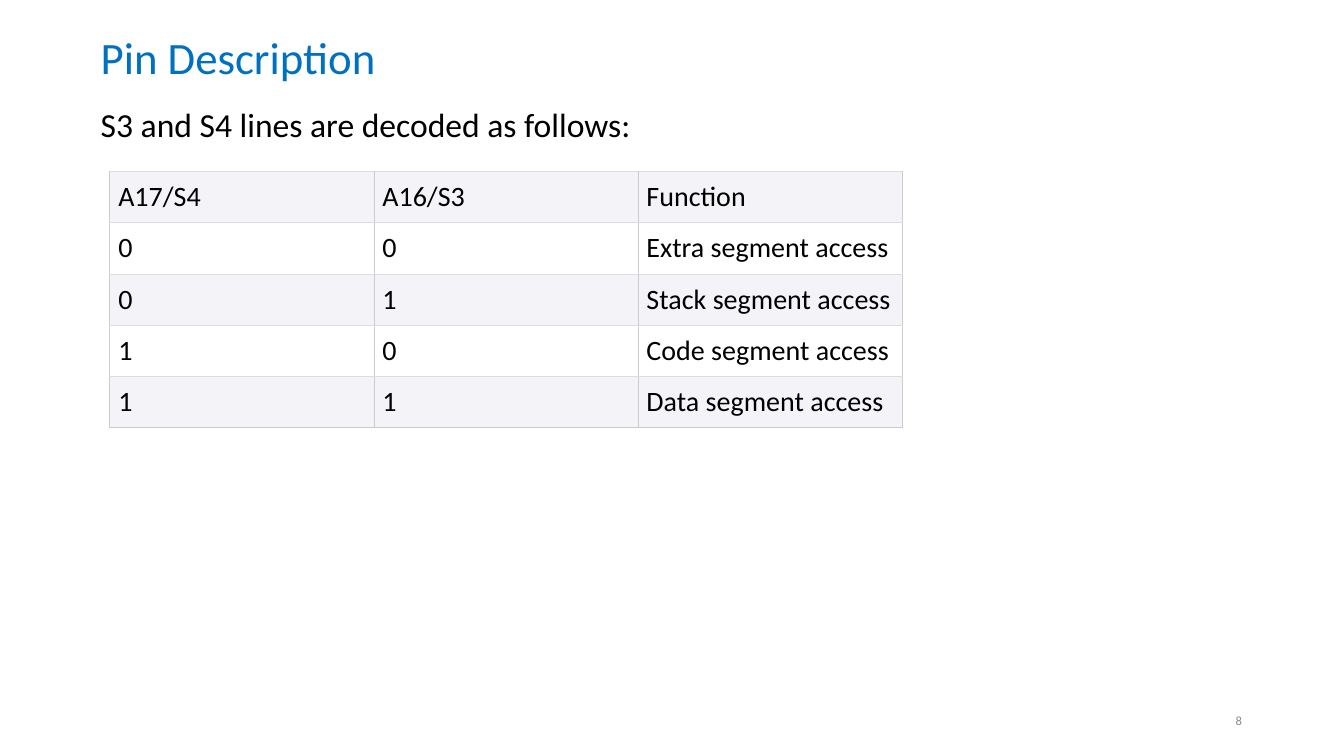
from dataclasses import dataclass
from typing import NamedTuple

from lxml.etree import SubElement
from pptx import Presentation
from pptx.dml.color import RGBColor
from pptx.enum.text import MSO_ANCHOR, PP_ALIGN
from pptx.oxml.ns import qn
from pptx.util import Pt


@dataclass(frozen=True)
class Theme:
    font: str = "Calibri"
    title: str = "0070C0"
    text: str = "000000"
    muted: str = "8C8C8C"
    band: str = "F4F4F8"
    plain: str = "FFFFFF"
    side_border: str = "CCCCCC"
    row_border: str = "DDDDDD"
    title_size: float = 32
    body_size: float = 24
    cell_size: float = 20
    number_size: float = 9
    border_width: float = 0.75
    cell_inset: float = 6


class Box(NamedTuple):
    left: float
    top: float
    width: float
    height: float

    def lengths(self):
        return [Pt(value) for value in self]


THEME = Theme()
PAGE_WIDTH, PAGE_HEIGHT = 960, 540
TITLE_BOX = Box(64.8, 11.5, 594, 62.6)
BODY_BOX = Box(64.8, 74.2, 829.4, 440.6)
TABLE_BOX = Box(78.5, 122.6, 566, 183)
NUMBER_BOX = Box(678.2, 500.4, 216, 28.8)
DECODING = [
    ("A17/S4", "A16/S3", "Function"),
    ("0", "0", "Extra segment access"),
    ("0", "1", "Stack segment access"),
    ("1", "0", "Code segment access"),
    ("1", "1", "Data segment access"),
]


def write(frame, text, *, size, color=THEME.text, align=PP_ALIGN.LEFT, spacing=1.0):
    para = frame.paragraphs[0]
    para.alignment = align
    para.line_spacing = spacing
    span = para.add_run()
    span.text = text
    span.font.name = THEME.font
    span.font.size = Pt(size)
    span.font.color.rgb = RGBColor.from_string(color)


def add_text(page, box, text, *, anchor=MSO_ANCHOR.TOP, **text_format):
    frame = page.shapes.add_textbox(*box.lengths()).text_frame
    frame.word_wrap = True
    frame.vertical_anchor = anchor
    write(frame, text, **text_format)


def set_borders(cell, colors):
    properties = cell._tc.get_or_add_tcPr()
    for position, (side, color) in enumerate(colors.items()):
        line = properties.makeelement(qn(f"a:{side}"), {"w": str(Pt(THEME.border_width))})
        fill = SubElement(line, qn("a:solidFill"))
        SubElement(fill, qn("a:srgbClr"), val=color)
        properties.insert(position, line)


def add_decoding_table(page, box, rows):
    table = page.shapes.add_table(len(rows), len(rows[0]), *box.lengths()).table
    for column in table.columns:
        column.width = Pt(box.width / len(rows[0]))
    for row_index, row in enumerate(rows):
        table.rows[row_index].height = Pt(box.height / len(rows))
        is_last = row_index == len(rows) - 1
        borders = {
            "lnL": THEME.side_border,
            "lnR": THEME.side_border,
            "lnT": THEME.row_border,
            "lnB": THEME.side_border if is_last else THEME.row_border,
        }
        background = THEME.plain if row_index % 2 else THEME.band
        for column_index, text in enumerate(row):
            cell = table.cell(row_index, column_index)
            cell.margin_left = cell.margin_right = Pt(THEME.cell_inset)
            cell.margin_top = cell.margin_bottom = Pt(THEME.cell_inset)
            cell.fill.solid()
            cell.fill.fore_color.rgb = RGBColor.from_string(background)
            set_borders(cell, borders)
            write(cell.text_frame, text, size=THEME.cell_size)


def add_title(page, box, text):
    add_text(page, box, text, anchor=MSO_ANCHOR.MIDDLE, size=THEME.title_size,
             color=THEME.title, spacing=0.9)


def add_body(page, box, text):
    add_text(page, box, text, size=THEME.body_size, spacing=0.9)


def add_page_number(page, box, text):
    add_text(page, box, text, anchor=MSO_ANCHOR.MIDDLE, size=THEME.number_size,
             color=THEME.muted, align=PP_ALIGN.RIGHT)


def main():
    deck = Presentation()
    deck.slide_width, deck.slide_height = Pt(PAGE_WIDTH), Pt(PAGE_HEIGHT)
    page = deck.slides.add_slide(deck.slide_layouts[6])
    add_body(page, BODY_BOX, "S3 and S4 lines are decoded as follows:")
    add_page_number(page, NUMBER_BOX, "8")
    add_title(page, TITLE_BOX, "Pin Description")
    add_decoding_table(page, TABLE_BOX, DECODING)
    deck.save("out.pptx")


if __name__ == "__main__":
    main()
